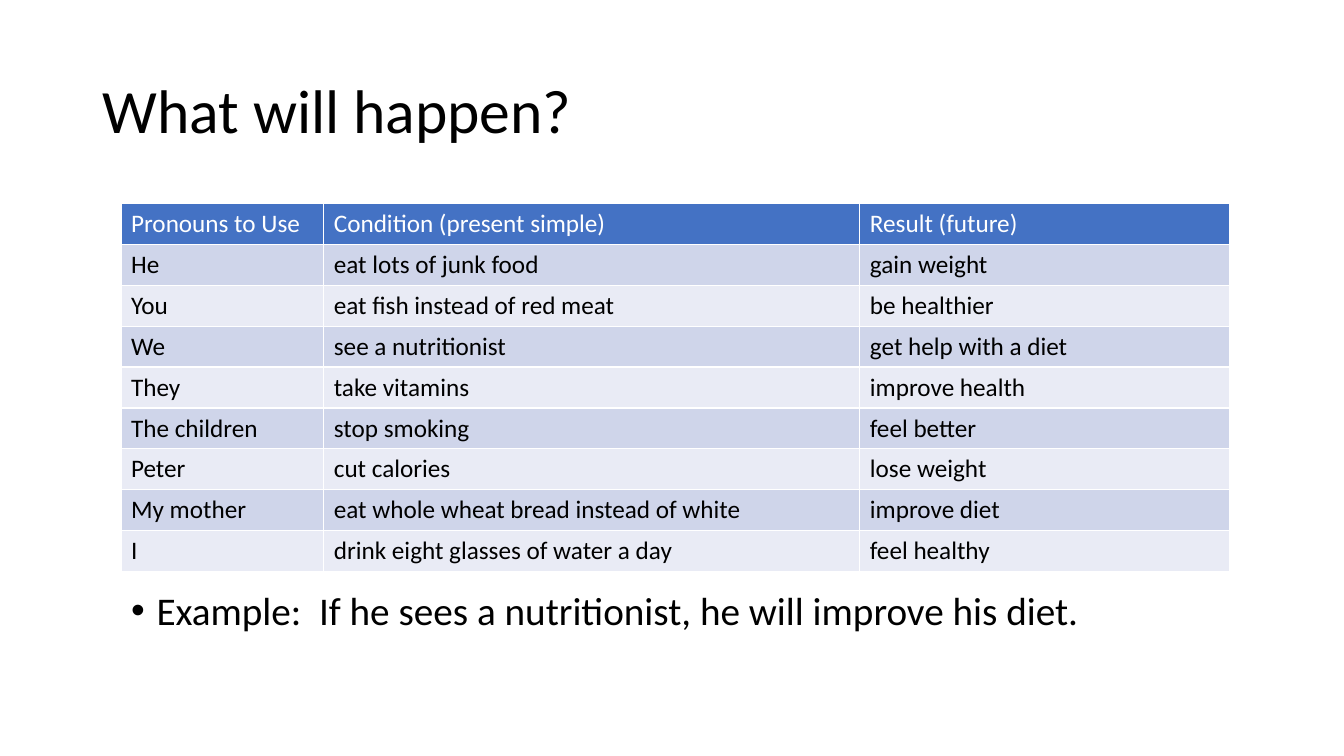
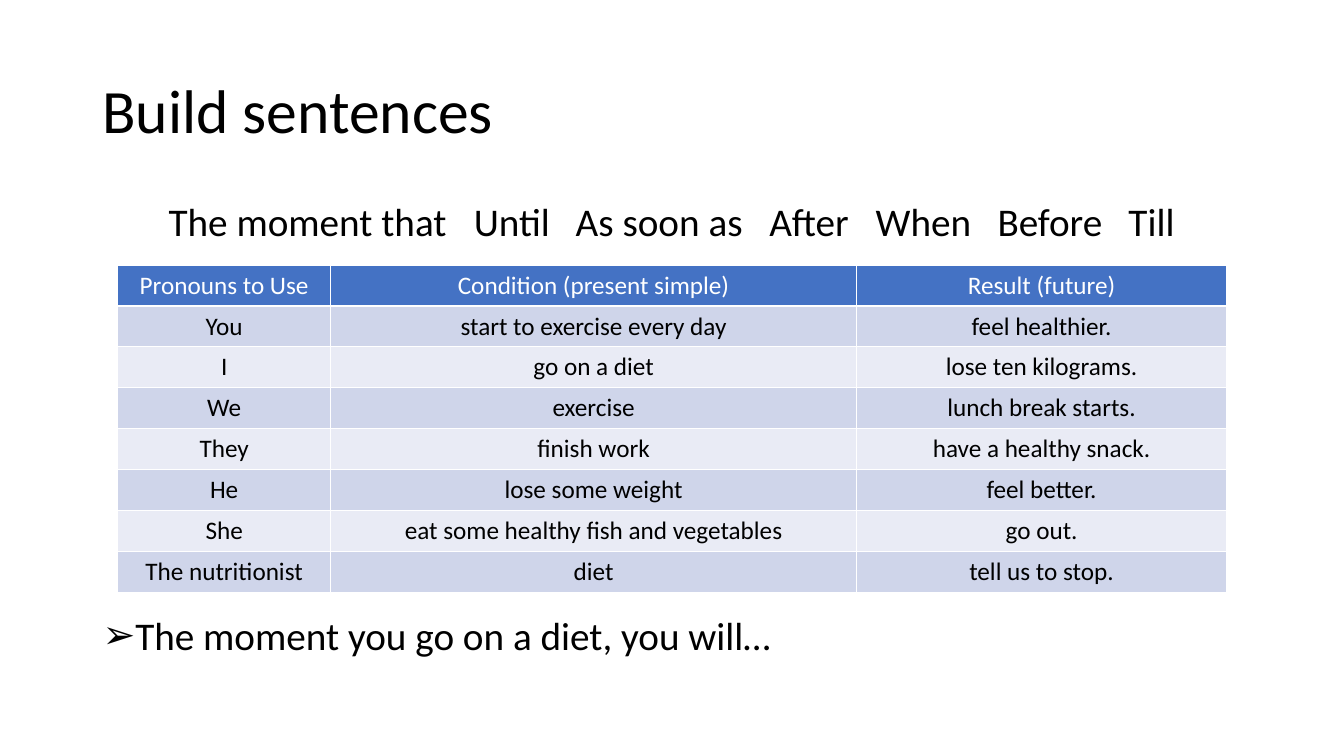
"""Build two grammar practice slides with a title, a table and an example."""
import pptx
import pptx.dml.color
import pptx.enum.text
import pptx.oxml.ns
import pptx.util
from lxml import etree

Cm = pptx.util.Cm
Pt = pptx.util.Pt
RGBColor = pptx.dml.color.RGBColor
Align = pptx.enum.text.PP_ALIGN
qn = pptx.oxml.ns.qn

BLACK = RGBColor(0x00, 0x00, 0x00)
WHITE = RGBColor(0xFF, 0xFF, 0xFF)
HEADER_BLUE = RGBColor(0x44, 0x72, 0xC4)
BAND_COLOURS = (RGBColor(0xE9, 0xEB, 0xF5), RGBColor(0xCF, 0xD5, 0xEA))
FONT = "Calibri"
ROW_HEIGHT = Cm(1.03)
BULLET_INDENT = Cm(0.64)
HEADINGS = ("Pronouns to Use", "Condition (present simple)", "Result (future)")

HABITS = (
    ("He", "eat lots of junk food", "gain weight"),
    ("You", "eat fish instead of red meat", "be healthier"),
    ("We", "see a nutritionist", "get help with a diet"),
    ("They", "take vitamins", "improve health"),
    ("The children", "stop smoking", "feel better"),
    ("Peter", "cut calories", "lose weight"),
    ("My mother", "eat whole wheat bread instead of white", "improve diet"),
    ("I", "drink eight glasses of water a day", "feel healthy"),
)
SENTENCES = (
    ("You", "start to exercise every day", "feel healthier."),
    ("I", "go on a diet", "lose ten kilograms."),
    ("We", "exercise", "lunch break starts."),
    ("They", "finish work", "have a healthy snack."),
    ("He", "lose some weight", "feel better."),
    ("She", "eat some healthy fish and vegetables", "go out."),
    ("The nutritionist", "diet", "tell us to stop."),
)
TIME_WORDS = ("The moment that", "Until", "As soon as", "After", "When", "Before", "Till")
TIME_WORD_STOPS = (7.69, 10.26, 15.14, 17.82, 20.89, 24.19)


def write_text(frame, text, size=28, colour=BLACK, align=Align.LEFT, spacing=0.9, before=0):
    """Put one formatted paragraph into a text frame and return it."""
    frame.word_wrap = True
    paragraph = frame.paragraphs[0]
    paragraph.alignment = align
    paragraph.line_spacing = spacing
    paragraph.space_before = Pt(before)
    run = paragraph.add_run()
    run.text = text
    run.font.name = FONT
    run.font.size = Pt(size)
    run.font.bold = False
    run.font.color.rgb = colour
    return paragraph


def place(shape, left, top, width, height):
    """Move and size a shape, with lengths in centimetres."""
    shape.left, shape.top = Cm(left), Cm(top)
    shape.width, shape.height = Cm(width), Cm(height)


def add_titled_slide(presentation, title):
    """Add a slide with the shared title style."""
    slide = presentation.slides.add_slide(presentation.slide_layouts[1])
    place(slide.shapes.title, 2.33, 1.01, 29.21, 3.68)
    frame = slide.shapes.title.text_frame
    frame.auto_size = pptx.enum.text.MSO_AUTO_SIZE.NONE
    frame.vertical_anchor = pptx.enum.text.MSO_ANCHOR.MIDDLE
    write_text(frame, title, size=44)
    return slide


def write_example(slide, text, bullet, left, top):
    """Write a bulleted example sentence in the body placeholder."""
    body = slide.placeholders[1]
    place(body, left, top, 27.94, 1.52)
    body.text_frame.auto_size = pptx.enum.text.MSO_AUTO_SIZE.NONE
    paragraph = write_text(body.text_frame, text, before=10)
    properties = paragraph._p.get_or_add_pPr()
    properties.set("marL", str(BULLET_INDENT))
    properties.set("indent", str(-BULLET_INDENT))
    etree.SubElement(properties, qn("a:buChar"), char=bullet)


def add_word_row(slide, words, stops, left, top):
    """Add a row of words set apart by tab stops."""
    box = slide.shapes.add_textbox(Cm(left), Cm(top), Cm(27), Cm(1.52))
    paragraph = write_text(box.text_frame, "\t".join(words), before=10)
    tabs = etree.SubElement(paragraph._p.get_or_add_pPr(), qn("a:tabLst"))
    for stop in stops:
        etree.SubElement(tabs, qn("a:tab"), pos=str(Cm(stop)), algn="l")


def draw_borders(cell, colour=WHITE, width=1):
    """Draw a line on all four sides of a table cell."""
    properties = cell._tc.get_or_add_tcPr()
    for side in ("a:lnL", "a:lnR", "a:lnT", "a:lnB"):
        line = etree.SubElement(properties, qn(side), w=str(Pt(width)))
        fill = etree.SubElement(line, qn("a:solidFill"))
        etree.SubElement(fill, qn("a:srgbClr"), val=str(colour))


def add_banded_table(slide, rows, left, top, widths, align=Align.LEFT):
    """Add a table with a blue heading row and alternating bands."""
    lines = (HEADINGS, *rows)
    table = slide.shapes.add_table(
        len(lines), len(widths), Cm(left), Cm(top), Cm(sum(widths)), ROW_HEIGHT * len(lines)
    ).table
    for column, width in zip(table.columns, widths):
        column.width = Cm(width)
    for row_index, line in enumerate(lines):
        is_header = row_index == 0
        for column_index, text in enumerate(line):
            cell = table.cell(row_index, column_index)
            draw_borders(cell)
            cell.fill.solid()
            cell.fill.fore_color.rgb = HEADER_BLUE if is_header else BAND_COLOURS[row_index % 2]
            write_text(cell.text_frame, text, size=18, align=align, spacing=1.0,
                       colour=WHITE if is_header else BLACK)


def main():
    """Build both slides and save the presentation."""
    presentation = pptx.Presentation()
    presentation.slide_width, presentation.slide_height = Cm(33.87), Cm(19.05)

    slide = add_titled_slide(presentation, "What will happen?")
    write_example(slide, "Example:  If he sees a nutritionist, he will improve his diet.",
                  "•", 3.05, 14.78)
    add_banded_table(slide, HABITS, 3.05, 5.13, (5.11, 13.51, 9.32))

    slide = add_titled_slide(presentation, "Build sentences")
    add_word_row(slide, TIME_WORDS, TIME_WORD_STOPS, 4, 4.98)
    write_example(slide, "The moment you go on a diet, you will…", "➢", 2.33, 15.4)
    add_banded_table(slide, SENTENCES, 2.97, 6.68, (5.36, 13.26, 9.32), align=Align.CENTER)

    presentation.save("out.pptx")


if __name__ == "__main__":
    main()
